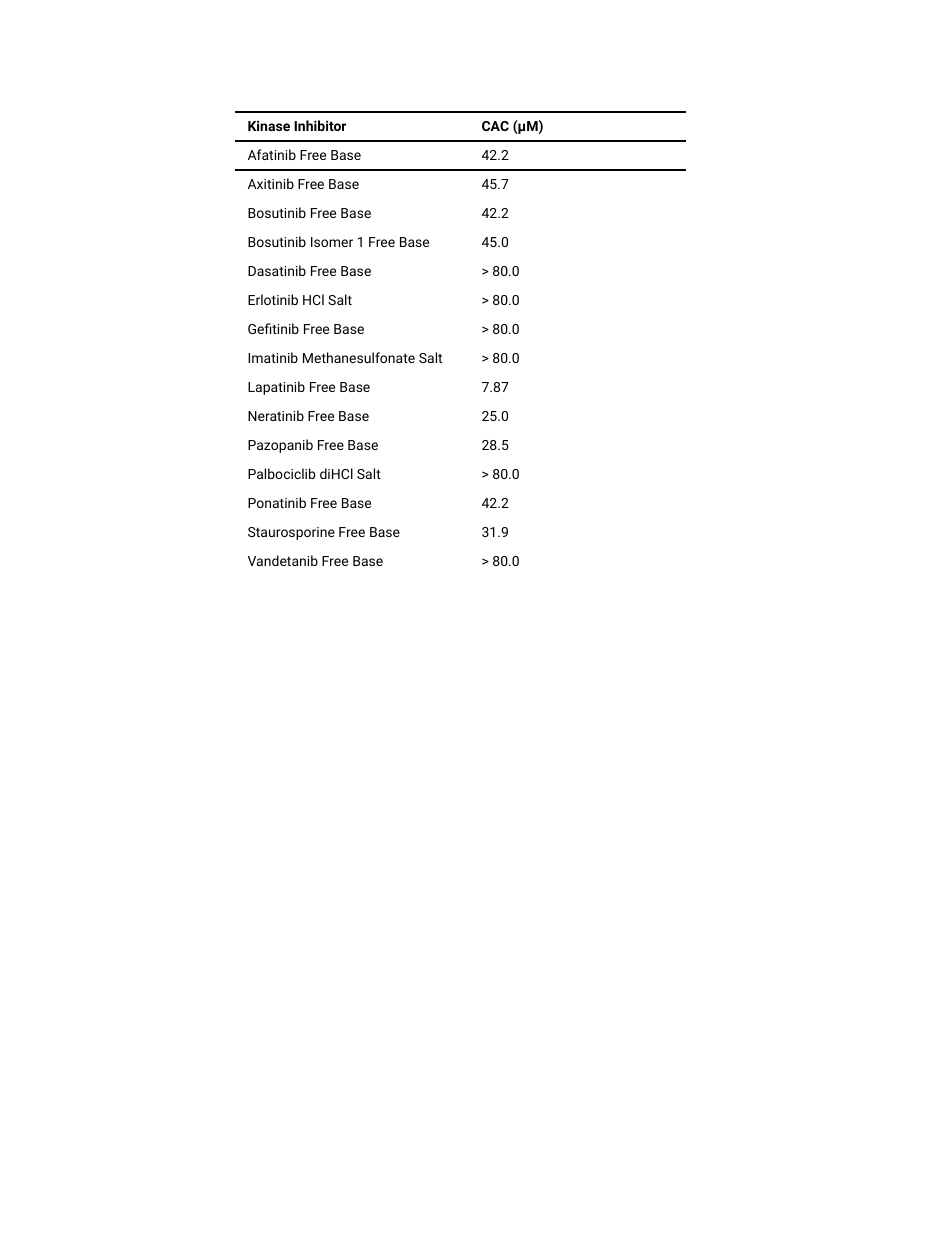
from pptx import Presentation
from pptx.dml.color import RGBColor
from pptx.oxml import parse_xml
from pptx.oxml.ns import nsdecls, qn
from pptx.util import Pt

PX = 914400 // 126  # EMU per px
BLACK = RGBColor(0x00, 0x00, 0x00)
FONT = "Roboto"
NO_STYLE = "{2D5ABB26-0587-4C30-8999-92F81FD0307C}"

ROWS = [
    ("Kinase Inhibitor", "CAC (µM)"),
    ("Afatinib Free Base", "42.2"),
    ("Axitinib Free Base", "45.7"),
    ("Bosutinib Free Base", "42.2"),
    ("Bosutinib Isomer 1 Free Base", "45.0"),
    ("Dasatinib Free Base", "> 80.0"),
    ("Erlotinib HCl Salt", "> 80.0"),
    ("Gefitinib Free Base", "> 80.0"),
    ("Imatinib Methanesulfonate Salt", "> 80.0"),
    ("Lapatinib Free Base", "7.87"),
    ("Neratinib Free Base", "25.0"),
    ("Pazopanib Free Base", "28.5"),
    ("Palbociclib diHCl Salt", "> 80.0"),
    ("Ponatinib Free Base", "42.2"),
    ("Staurosporine Free Base", "31.9"),
    ("Vandetanib Free Base", "> 80.0"),
]
COL_WIDTHS = [234, 217]
ROW_HEIGHT = 29
RULES = {0: ("lnT", "lnB"), 1: ("lnT", "lnB")}  # ruled sides by row


def add_rule(cell, side):
    tcPr = cell._tc.get_or_add_tcPr()
    tcPr.append(parse_xml(
        f'<a:{side} {nsdecls("a")} w="{Pt(1)}"><a:solidFill>'
        f'<a:srgbClr val="{BLACK}"/></a:solidFill></a:{side}>'))


prs = Presentation()
prs.slide_width = 945 * PX
prs.slide_height = 1260 * PX
s = prs.slides.add_slide(prs.slide_layouts[6])

# Table without style
frame = s.shapes.add_table(len(ROWS), len(COL_WIDTHS), 235 * PX, 112 * PX,
                           sum(COL_WIDTHS) * PX, len(ROWS) * ROW_HEIGHT * PX)
table = frame.table
table.first_row = False
table.horz_banding = False
table._tbl.tblPr.find(qn("a:tableStyleId")).text = NO_STYLE
for col, width in zip(table.columns, COL_WIDTHS):
    col.width = width * PX
for row in table.rows:
    row.height = ROW_HEIGHT * PX

# Cell text and horizontal rules
for i, values in enumerate(ROWS):
    for j, value in enumerate(values):
        cell = table.cell(i, j)
        for side in RULES.get(i, ()):
            add_rule(cell, side)
        cell.fill.background()
        r = cell.text_frame.paragraphs[0].add_run()
        r.text = value
        r.font.name = FONT
        r.font.size = Pt(8)
        r.font.bold = i == 0
        r.font.color.rgb = BLACK

prs.save("out.pptx")
